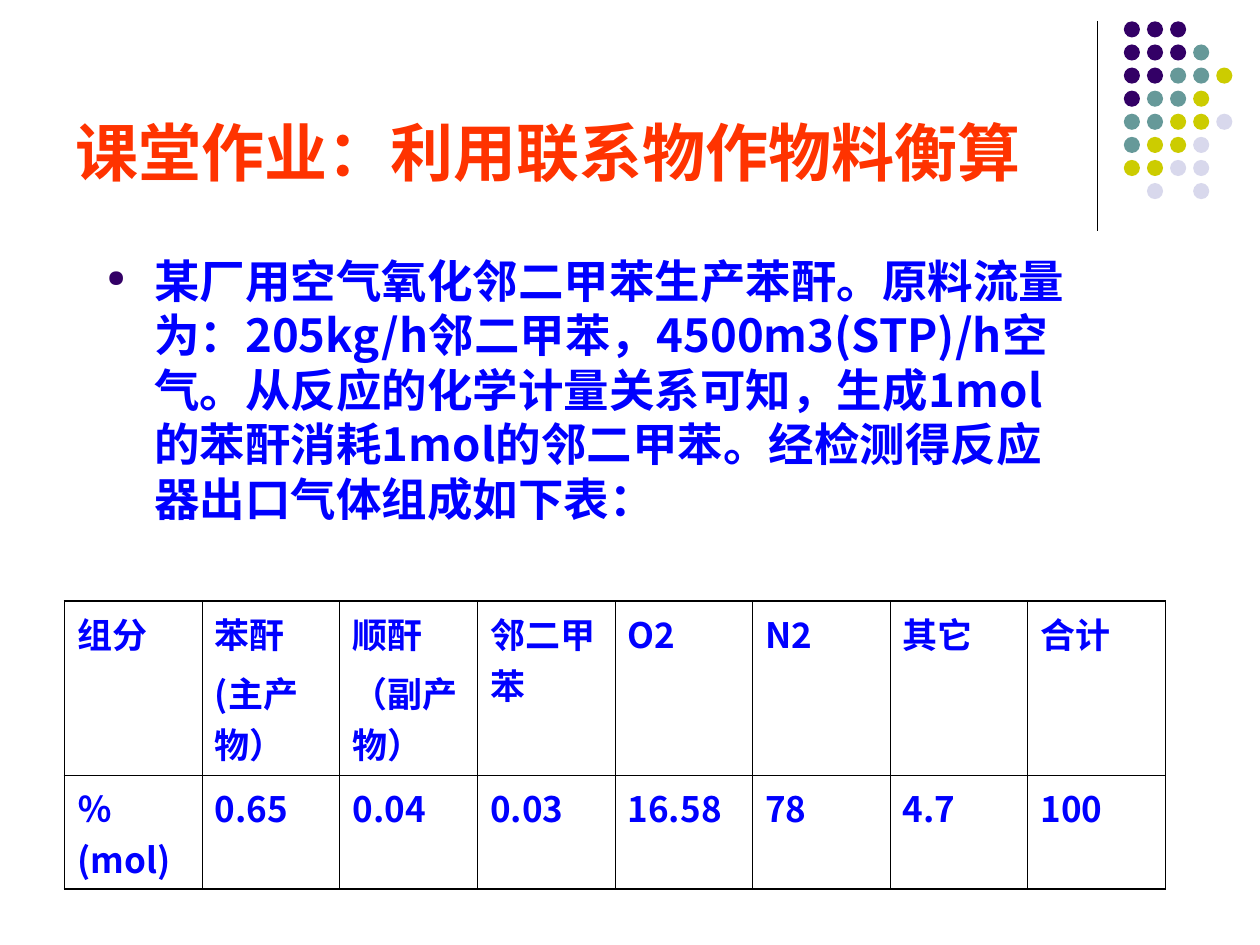
from typing import Any, NamedTuple

from lxml import etree
from pptx import Presentation
from pptx.dml import color
from pptx.enum import shapes, text
from pptx.oxml import ns
from pptx.util import Pt


class TextStyle(NamedTuple):
    size: float
    font: str
    colour: str


class Dot(NamedTuple):
    column: int
    row: int
    colour: str


CJK_FONT = "Noto Sans CJK SC"
TITLE_STYLE = TextStyle(36, "Arial", "FF3300")
BODY_STYLE = TextStyle(26, CJK_FONT, "0000FF")
CELL_STYLE = TextStyle(20, CJK_FONT, "0000FF")

TITLE = "课堂作业：利用联系物作物料衡算"
BODY = ("某厂用空气氧化邻二甲苯生产苯酐。原料流量为：205kg/h邻二甲苯，"
        "4500m3(STP)/h空气。从反应的化学计量关系可知，生成1mol的苯酐消耗"
        "1mol的邻二甲苯。经检测得反应器出口气体组成如下表：")
COMPOSITION = [
    ["组分", "苯酐\n(主产物）", "顺酐\n（副产物）", "邻二甲苯", "O2", "N2", "其它", "合计"],
    ["％(mol)", "0.65", "0.04", "0.03", "16.58", "78", "4.7", "100"],
]
ROW_HEIGHTS = [99.4, 65.2]

# One letter per dot, one string per row of the ornament
DOT_COLOURS = {"P": "330066", "T": "669999", "Y": "CCCC00", "L": "D8D8EC"}
DOT_ROWS = ["PPP", "PPPT", "PPTTY", "PTTY", "TTYYL", "TYYL", "YYLL", " L L"]
DOT_LEFT, DOT_TOP, DOT_STEP, DOT_SIZE = 642.2, 12.2, 13.2, 9.2


def rgb(value: str) -> color.RGBColor:
    return color.RGBColor.from_string(value)


def set_format(target: Any, values: dict[str, Any]) -> None:
    for name, value in values.items():
        setattr(target, name, value)


def add_child(parent: Any, tag: str, **attributes: str) -> Any:
    return etree.SubElement(parent, ns.qn(tag), attributes)


def write_run(paragraph: Any, content: str, style: TextStyle) -> None:
    run = paragraph.add_run()
    run.text = content
    set_format(run.font, {"size": Pt(style.size), "name": style.font, "bold": True})
    run.font.color.rgb = rgb(style.colour)
    add_child(run._r.get_or_add_rPr(), "a:ea", typeface=style.font)


def add_text(slide: Any, box: tuple[float, ...], frame_format: dict[str, Any],
             content: str, style: TextStyle) -> Any:
    frame = slide.shapes.add_textbox(*map(Pt, box)).text_frame
    set_format(frame, {"word_wrap": True, **frame_format})
    paragraph = frame.paragraphs[0]
    write_run(paragraph, content, style)
    return paragraph


def add_bullet(paragraph: Any) -> None:
    properties = paragraph._p.get_or_add_pPr()
    properties.set("marL", str(Pt(27)))
    properties.set("indent", str(Pt(-27)))
    add_child(add_child(properties, "a:buClr"), "a:srgbClr", val="330066")
    add_child(properties, "a:buSzPct", val="52000")
    add_child(properties, "a:buChar", char="●")


def draw_dot(group: Any, dot: Dot) -> None:
    shape = group.shapes.add_shape(
        shapes.MSO_SHAPE.OVAL,
        Pt(DOT_LEFT + dot.column * DOT_STEP), Pt(DOT_TOP + dot.row * DOT_STEP),
        Pt(DOT_SIZE), Pt(DOT_SIZE))
    shape.shadow.inherit = False
    shape.fill.solid()
    shape.fill.fore_color.rgb = rgb(dot.colour)
    shape.line.fill.background()


def draw_borders(cell: Any, outer_sides: dict[str, bool]) -> None:
    properties = cell._tc.get_or_add_tcPr()
    for side, is_outer in outer_sides.items():
        width = Pt(1.08 if is_outer else 0.45)
        line = add_child(properties, f"a:ln{side}", w=str(width))
        add_child(add_child(line, "a:solidFill"), "a:srgbClr", val="000000")


def draw_table(slide: Any) -> None:
    row_count, column_count = len(COMPOSITION), len(COMPOSITION[0])
    table = slide.shapes.add_table(
        row_count, column_count, Pt(36.9), Pt(343.6), Pt(629.2), Pt(sum(ROW_HEIGHTS))).table
    set_format(table, {"first_row": False, "horz_banding": False})
    for column in table.columns:
        column.width = Pt(78.65)
    for row, height in zip(table.rows, ROW_HEIGHTS):
        row.height = Pt(height)
    for row_index, values in enumerate(COMPOSITION):
        for column_index, value in enumerate(values):
            cell = table.cell(row_index, column_index)
            draw_borders(cell, {
                "L": column_index == 0, "R": column_index == column_count - 1,
                "T": row_index == 0, "B": row_index == row_count - 1})
            cell.fill.background()
            for line_index, content in enumerate(value.split("\n")):
                if line_index == 0:
                    paragraph = cell.text_frame.paragraphs[0]
                else:
                    paragraph = cell.text_frame.add_paragraph()
                    paragraph.space_before = Pt(5)
                write_run(paragraph, content, CELL_STYLE)


def main() -> None:
    presentation = Presentation()
    set_format(presentation, {"slide_width": Pt(720), "slide_height": Pt(540)})
    slide = presentation.slides.add_slide(presentation.slide_layouts[6])

    # Corner ornament: vertical rule and dots
    rule = slide.shapes.add_connector(
        shapes.MSO_CONNECTOR.STRAIGHT, Pt(627), Pt(12), Pt(627), Pt(132))
    rule.line.width = Pt(0.75)
    rule.line.color.rgb = rgb("000000")
    add_child(rule._element.spPr, "a:effectLst")
    group = slide.shapes.add_group_shape()
    for row, letters in enumerate(DOT_ROWS):
        for column, letter in enumerate(letters):
            if letter in DOT_COLOURS:
                draw_dot(group, Dot(column, row, DOT_COLOURS[letter]))

    # Title and problem statement
    add_text(slide, (36, 43.2, 594, 68.4),
             {"vertical_anchor": text.MSO_ANCHOR.BOTTOM}, TITLE, TITLE_STYLE)
    statement = add_text(slide, (54, 139.7, 568, 259.2),
                         {"margin_top": Pt(4.8)}, BODY, BODY_STYLE)
    add_bullet(statement)

    # Outlet gas composition
    draw_table(slide)

    presentation.save("out.pptx")


if __name__ == "__main__":
    main()
